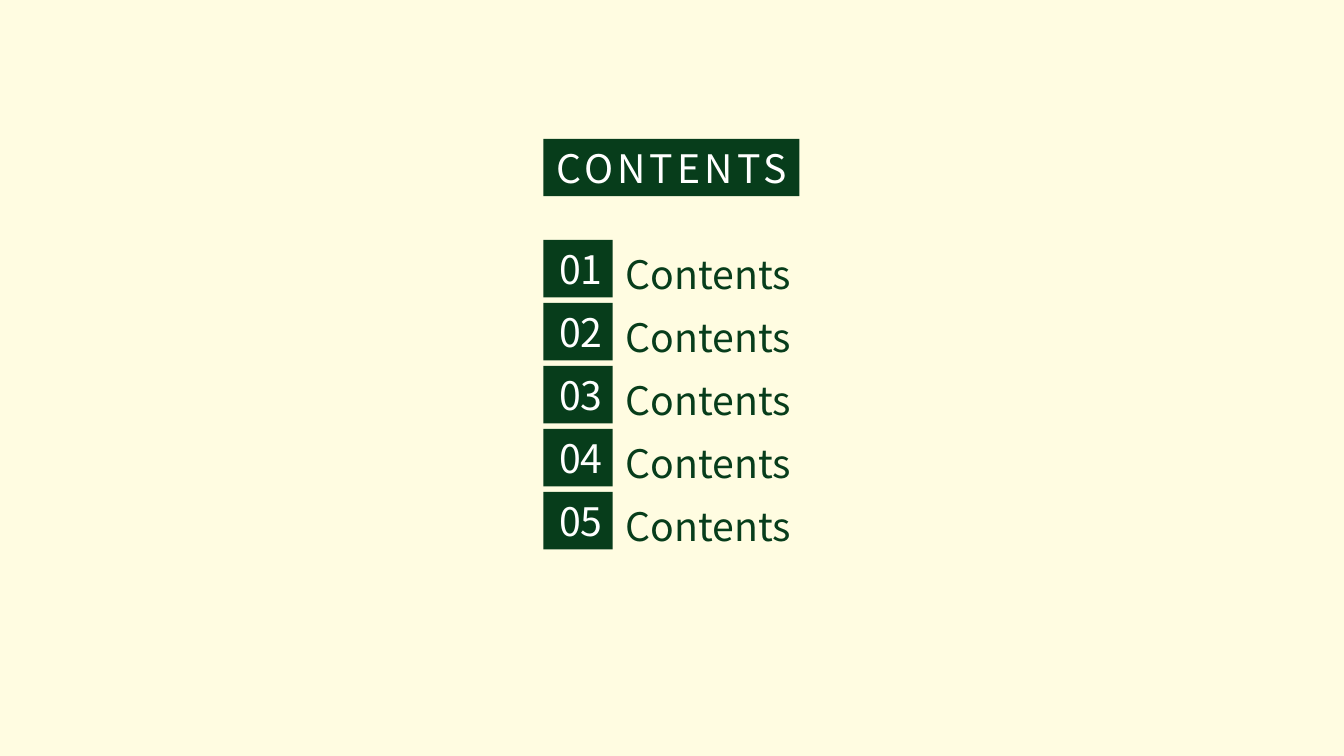
"""Builds a contents slide with a heading and five numbered entries."""
from pptx import Presentation
from pptx.dml.color import RGBColor
from pptx.enum.shapes import MSO_SHAPE as Preset
from pptx.enum.text import MSO_ANCHOR as Anchor, MSO_AUTO_SIZE as AutoSize, PP_ALIGN as Align
from pptx.oxml.xmlchemy import OxmlElement
from pptx.util import Pt

CREAM = RGBColor(0xFF, 0xFC, 0xE1)
GREEN = RGBColor(0x07, 0x3D, 0x1B)
WHITE = RGBColor(0xFF, 0xFF, 0xFF)
FONT = "Noto Sans CJK KR"
LEFT, FIRST_TOP, PITCH = 388.1, 171.4, 45
BOX_HEIGHT, LINE_HEIGHT = 41, 40.5
ENTRIES = ["Contents"] * 5


def write(frame, lines, color=WHITE, align=Align.LEFT, anchor=Anchor.MIDDLE,
          wrap=False, tracking=0, pitch=None):
    frame.auto_size = AutoSize.NONE
    frame.word_wrap = wrap
    frame.vertical_anchor = anchor
    frame.margin_top = frame.margin_bottom = 0
    frame.text = "\n".join(lines)
    for paragraph in frame.paragraphs:
        paragraph.alignment = align
        paragraph.space_before = paragraph.space_after = Pt(0)
        if pitch:
            paragraph.line_spacing = Pt(pitch)
        run = paragraph.runs[0]
        run.font.name, run.font.size = FONT, Pt(28)
        run.font.color.rgb = color
        if tracking:
            run.font._element.set("spc", str(tracking * 100))


class ContentsSlide:
    def __init__(self, deck):
        self.slide = deck.slides.add_slide(deck.slide_layouts[1])
        self.slide.background.fill.solid()
        self.slide.background.fill.fore_color.rgb = CREAM

    def place(self, holder, left, top, width, height):
        holder.left, holder.top = Pt(left), Pt(top)
        holder.width, holder.height = Pt(width), Pt(height)

    def paint(self, box):
        box.fill.solid()
        box.fill.fore_color.rgb = GREEN
        box.line.fill.background()

    def heading(self, text, left, top, width, height):
        title = self.slide.shapes.title
        self.place(title, left, top, width, height)
        self.paint(title)
        write(title.text_frame, [text], align=Align.CENTER, tracking=3)

    def number(self, text, left, top, width, height):
        badge = self.slide.shapes.add_shape(
            Preset.RECTANGLE, Pt(left), Pt(top), Pt(width), Pt(height))
        badge.shadow.inherit = False
        self.paint(badge)
        write(badge.text_frame, [text], align=Align.RIGHT)

    def entries(self, lines, left, top, width, pitch):
        body = self.slide.placeholders[1]
        self.place(body, left, top, width, pitch * len(lines))
        body.text_frame.margin_right = 0
        write(body.text_frame, lines, color=GREEN, anchor=Anchor.TOP,
              wrap=True, pitch=pitch)
        for paragraph in body.text_frame.paragraphs:
            layout = paragraph._p.get_or_add_pPr()
            layout.set("marL", "0")
            layout.set("indent", "0")
            layout.append(OxmlElement("a:buNone"))


deck = Presentation()
deck.slide_width, deck.slide_height = Pt(960), Pt(540)
contents = ContentsSlide(deck)
contents.heading("CONTENTS", LEFT, 99.2, 183, BOX_HEIGHT)
for row in range(len(ENTRIES)):
    contents.number(f"{row + 1:02}", LEFT, FIRST_TOP + row * PITCH, 49.5, BOX_HEIGHT)
list_top = FIRST_TOP + BOX_HEIGHT / 2 + LINE_HEIGHT / 2 - PITCH
contents.entries(ENTRIES, 439.9, list_top, 132.5, PITCH)
deck.save("out.pptx")
